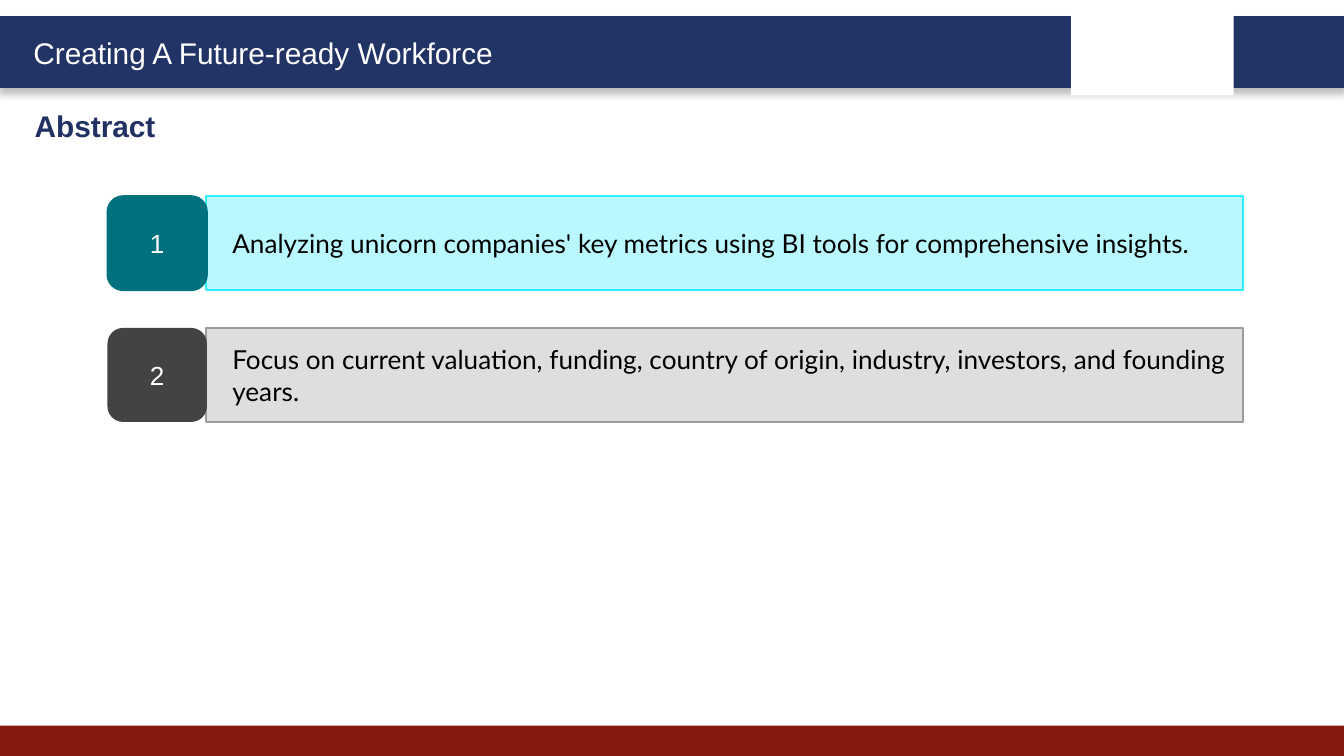
from lxml.etree import SubElement
from pptx import Presentation
from pptx.dml.color import RGBColor as Rgb
from pptx.enum.shapes import MSO_SHAPE as Kind
from pptx.enum.text import MSO_ANCHOR as Anchor, MSO_AUTO_SIZE as Fit, PP_ALIGN as Align
from pptx.oxml.ns import qn
from pptx.util import Inches, Pt

WHITE = Rgb(0xFF, 0xFF, 0xFF)
BLACK = Rgb(0, 0, 0)
NAVY = Rgb(0x22, 0x33, 0x66)
INK = Rgb(0x21, 0x31, 0x63)
RED = Rgb(0x85, 0x19, 0x10)
TEAL = Rgb(0x00, 0x71, 0x7D)
CYAN = Rgb(0x31, 0xEB, 0xFF)
PALE = Rgb(0xBA, 0xF8, 0xFF)
DARK = Rgb(0x43, 0x43, 0x43)
GREY = Rgb(0x9B, 0x9B, 0x9B)
LIGHT = Rgb(0xDE, 0xDE, 0xDE)

ROWS = [
    ("Analyzing unicorn companies' key metrics using BI tools for comprehensive insights.",
     PALE, CYAN, TEAL, TEAL),
    ("Focus on current valuation, funding, country of origin, industry, investors, "
     "and founding years.", LIGHT, GREY, DARK, None),
]
TOP, STEP, HIGH = 1.46, 0.98, 0.7


def add_box(shapes, x, y, w, h, fill, line=None, width=1, kind=Kind.RECTANGLE):
    box = shapes.add_shape(kind, Inches(x), Inches(y), Inches(w), Inches(h))
    box.shadow.inherit = False
    box.fill.solid()
    box.fill.fore_color.rgb = fill
    if line is None:
        box.line.fill.background()
    else:
        box.line.color.rgb = line
        box.line.width = Pt(width)
    return box


def add_shade(box):
    effects = box._element.spPr.find(qn("a:effectLst"))
    shade = SubElement(effects, qn("a:outerShdw"), blurRad=str(Pt(4)), dist=str(Pt(3)),
                       dir="5400000", algn="t", rotWithShape="0")
    color = SubElement(shade, qn("a:srgbClr"), val="000000")
    SubElement(color, qn("a:alpha"), val="25000")


def put_text(shape, text, size=14, font="Arial", color=WHITE, bold=False,
             align=Align.LEFT, anchor=Anchor.MIDDLE, indent=0):
    frame = shape.text_frame
    frame.word_wrap = True
    frame.vertical_anchor = anchor
    para = frame.paragraphs[0]
    para.alignment = align
    if indent:
        para._p.get_or_add_pPr().set("marL", str(Inches(indent)))
    run = para.add_run()
    run.text = text
    run.font.size = Pt(size)
    run.font.name = font
    run.font.bold = bold
    run.font.color.rgb = color


def add_label(shapes, x, y, w, text, **style):
    label = shapes.add_textbox(Inches(x), Inches(y), Inches(w), Inches(0.37))
    put_text(label, text, size=16, anchor=Anchor.TOP, **style)
    label.text_frame.auto_size = Fit.SHAPE_TO_FIT_TEXT


def add_row(shapes, index, text, fill, line, badge, edge):
    group = shapes.add_group_shape().shapes
    y = TOP + index * STEP
    bar = add_box(group, 1.53, y, 7.72, HIGH, fill, line)
    put_text(bar, text, font="Lato", color=BLACK, indent=0.1)
    tile = add_box(group, 0.8, y, 0.74, HIGH, badge, edge, kind=Kind.ROUNDED_RECTANGLE)
    put_text(tile, str(index + 1), align=Align.CENTER)


def main():
    """Build the abstract slide and save it."""
    deck = Presentation()
    deck.slide_width = Inches(10)
    deck.slide_height = deck.slide_width * 9 // 16
    shapes = deck.slides.add_slide(deck.slide_layouts[6]).shapes
    add_shade(add_box(shapes, 0, 0.13, 10, 0.51, NAVY, NAVY, 2))
    add_box(shapes, 0, 5.4, 10, 0.23, RED)
    add_box(shapes, 7.97, 0.07, 1.21, 0.64, WHITE)
    add_label(shapes, 0.15, 0.21, 3.78, "Creating A Future-ready Workforce")
    add_label(shapes, 0.16, 0.75, 4.84, "Abstract", color=INK, bold=True)
    for index, row in enumerate(ROWS):
        add_row(shapes, index, *row)
    deck.save("out.pptx")


if __name__ == "__main__":
    main()
